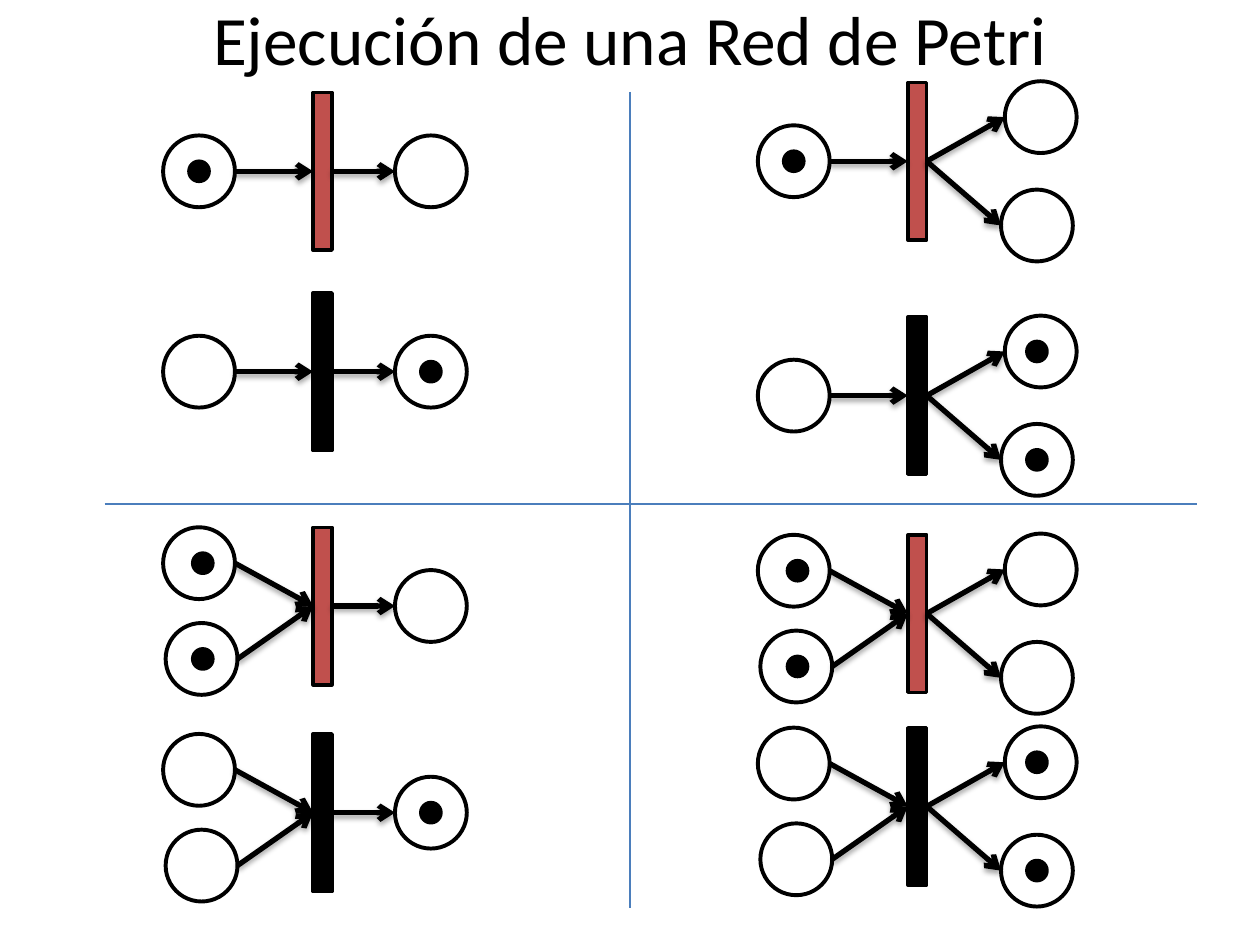
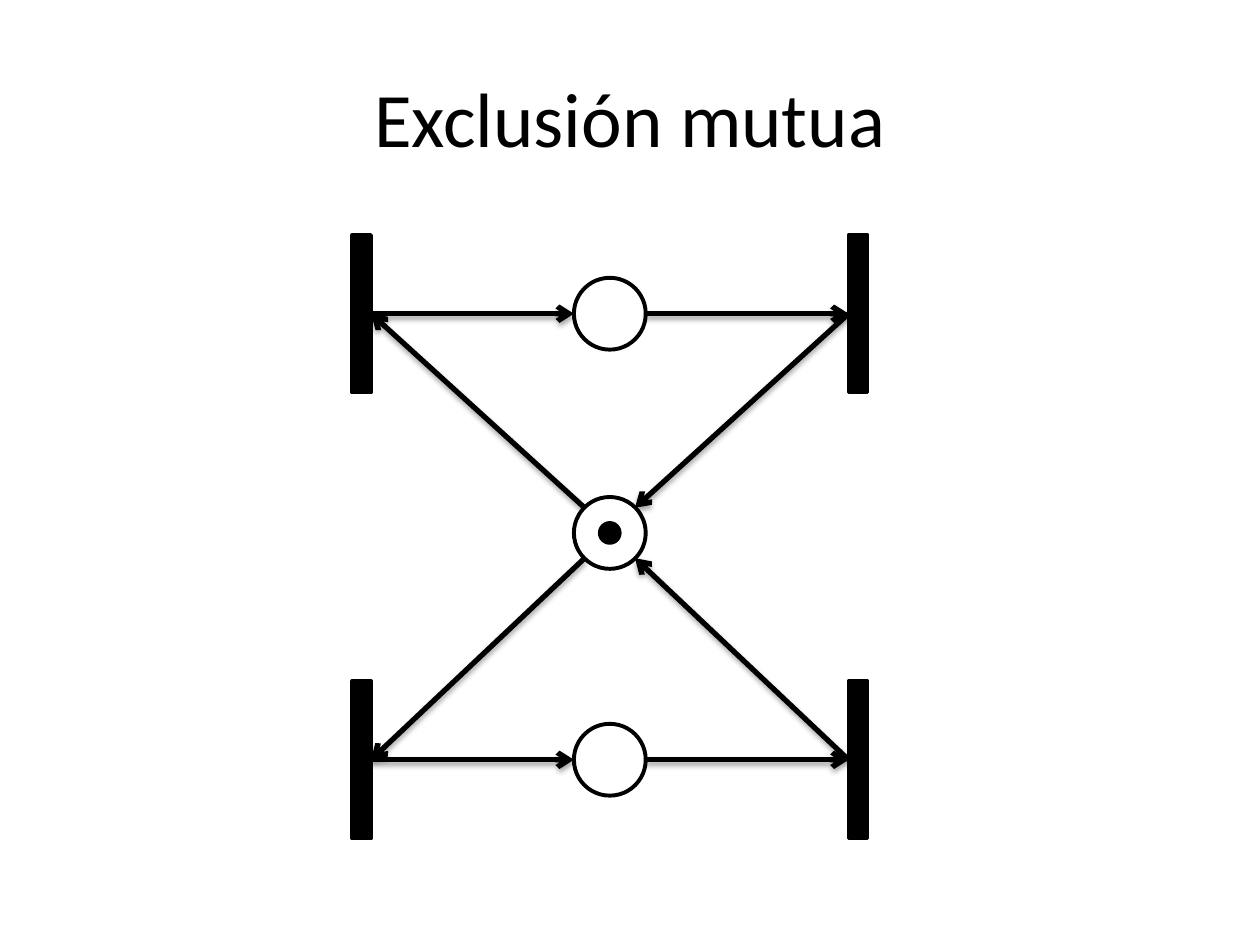
from pptx import Presentation
from pptx.dml.color import RGBColor
from pptx.enum.shapes import MSO_CONNECTOR, MSO_SHAPE
from pptx.enum.text import MSO_ANCHOR, MSO_AUTO_SIZE, PP_ALIGN
from pptx.oxml import parse_xml
from pptx.oxml.ns import nsdecls
from pptx.util import Inches, Pt

BLACK = RGBColor(0x00, 0x00, 0x00)
WHITE = RGBColor(0xFF, 0xFF, 0xFF)
RED = RGBColor(0xC0, 0x50, 0x4D)
BLUE = RGBColor(0x4B, 0x7E, 0xBC)

WIDTH, HEIGHT = 10, 7.5
PLACE, TOKEN = 0.57, 0.16
BAR_W, BAR_H = 0.15, 1.25
DIAGONAL = 0.2  # reach of a place's edge at 45 degrees

# Places around a transition: (dx, dy, dx of the token)
ONE_IN = [(-0.98, 0, -0.98)]
TWO_IN = [(-0.98, -0.34, -0.95), (-0.96, 0.42, -0.95)]
ONE_OUT = [(0.86, 0, 0.86)]
TWO_OUT = [(0.98, -0.35, 0.95), (0.95, 0.51, 0.95)]

# Each quadrant: x of the bar, y before and after firing, inputs, outputs
QUADRANTS = [
    (2.56, 1.36, 2.95, ONE_IN, ONE_OUT),
    (7.28, 1.28, 3.14, ONE_IN, TWO_OUT),
    (2.56, 4.81, 6.45, TWO_IN, ONE_OUT),
    (7.28, 4.87, 6.4, TWO_IN, TWO_OUT),
]

ARROWHEAD = f'<a:tailEnd {nsdecls("a")} type="arrow"/>'
NO_EFFECT = f'<a:effectLst {nsdecls("a")}/>'
SOFT_SHADOW = (
    f'<a:effectLst {nsdecls("a")}>'
    f'<a:outerShdw blurRad="{Pt(3.1)}" dist="{Pt(1.8)}" dir="5400000" rotWithShape="0">'
    '<a:srgbClr val="000000"><a:alpha val="35000"/></a:srgbClr>'
    '</a:outerShdw></a:effectLst>'
)


def add_titled_slide(prs, text, size, top, height):
    s = prs.slides.add_slide(prs.slide_layouts[5])
    title = s.shapes.title
    title.left, title.top = Inches(WIDTH * 0.05), Inches(top)
    title.width, title.height = Inches(WIDTH * 0.9), Inches(height)
    tf = title.text_frame
    tf.auto_size = MSO_AUTO_SIZE.NONE
    tf.vertical_anchor = MSO_ANCHOR.MIDDLE
    p = tf.paragraphs[0]
    p.alignment = PP_ALIGN.CENTER
    r = p.add_run()
    r.text = text
    r.font.name, r.font.size = "Calibri", Pt(size)
    r.font.color.rgb = BLACK
    return s


def add_node(s, kind, x, y, w, h, fill, weight=2):
    """Draw a black-edged shape centred on (x, y)."""
    sp = s.shapes.add_shape(kind, Inches(x - w / 2), Inches(y - h / 2), Inches(w), Inches(h))
    sp.shadow.inherit = False
    sp.fill.solid()
    sp.fill.fore_color.rgb = fill
    sp.line.color.rgb = BLACK
    sp.line.width = Pt(weight)


def add_place(s, x, y):
    add_node(s, MSO_SHAPE.OVAL, x, y, PLACE, PLACE, WHITE, 2.25)


def add_token(s, x, y):
    add_node(s, MSO_SHAPE.OVAL, x, y, TOKEN, TOKEN, BLACK)


def add_bar(s, x, y, fill=BLACK):
    add_node(s, MSO_SHAPE.RECTANGLE, x, y, BAR_W, BAR_H, fill)


def add_line(s, start, end, color, weight, effect=NO_EFFECT):
    points = [Inches(v) for v in (*start, *end)]
    line = s.shapes.add_connector(MSO_CONNECTOR.STRAIGHT, *points)
    line.line.color.rgb = color
    line.line.width = Pt(weight)
    line._element.spPr.append(parse_xml(effect))
    return line


def add_arrow(s, start, end):
    arrow = add_line(s, start, end, BLACK, 3, SOFT_SHADOW)
    arrow.line._get_or_add_ln().append(parse_xml(ARROWHEAD))


def add_net(s, x, y, inputs, outputs, fired):
    """Draw a transition at (x, y) with its places; firing moves the tokens to the outputs."""
    add_bar(s, x, y, BLACK if fired else RED)
    for dx, dy, _ in inputs:
        add_place(s, x + dx, y + dy)
        add_arrow(s, (x + dx + PLACE / 2, y + dy), (x - BAR_W / 2, y))
    for dx, dy, _ in outputs:
        add_place(s, x + dx, y + dy)
        add_arrow(s, (x + BAR_W / 2, y), (x + dx - PLACE / 2, y + dy))
    for _, dy, token_dx in outputs if fired else inputs:
        add_token(s, x + token_dx, y + dy)


def add_execution_slide(prs):
    s = add_titled_slide(prs, "Ejecución de una Red de Petri", 39.6, 0.09, 0.42)
    add_line(s, (WIDTH / 2, 0.73), (WIDTH / 2, 7.21), BLUE, 0.75)
    add_line(s, (0.83, 4), (9.5, 4), BLUE, 0.75)
    for x, before, after, inputs, outputs in QUADRANTS:
        add_net(s, x, before, inputs, outputs, fired=False)
        add_net(s, x, after, inputs, outputs, fired=True)


def add_mutex_slide(prs):
    s = add_titled_slide(prs, "Exclusión mutua", 44, 0.3, 1.25)
    left, middle, right = 2.87, 4.84, 6.81
    lock_y = 4.23
    entry, leave = left + BAR_W / 2, right - BAR_W / 2
    for y, side in ((2.49, -1), (6.03, 1)):
        add_bar(s, left, y)
        add_bar(s, right, y)
        add_place(s, middle, y)
        add_arrow(s, (entry, y), (middle - PLACE / 2, y))
        add_arrow(s, (middle + PLACE / 2, y), (leave, y))
        lock_edge = lock_y + side * DIAGONAL
        add_arrow(s, (middle - DIAGONAL, lock_edge), (entry, y))
        add_arrow(s, (leave, y), (middle + DIAGONAL, lock_edge))
    add_place(s, middle, lock_y)
    add_token(s, middle, lock_y)


def main():
    prs = Presentation()
    prs.slide_width, prs.slide_height = Inches(WIDTH), Inches(HEIGHT)
    add_execution_slide(prs)
    add_mutex_slide(prs)
    prs.save("out.pptx")


if __name__ == "__main__":
    main()
